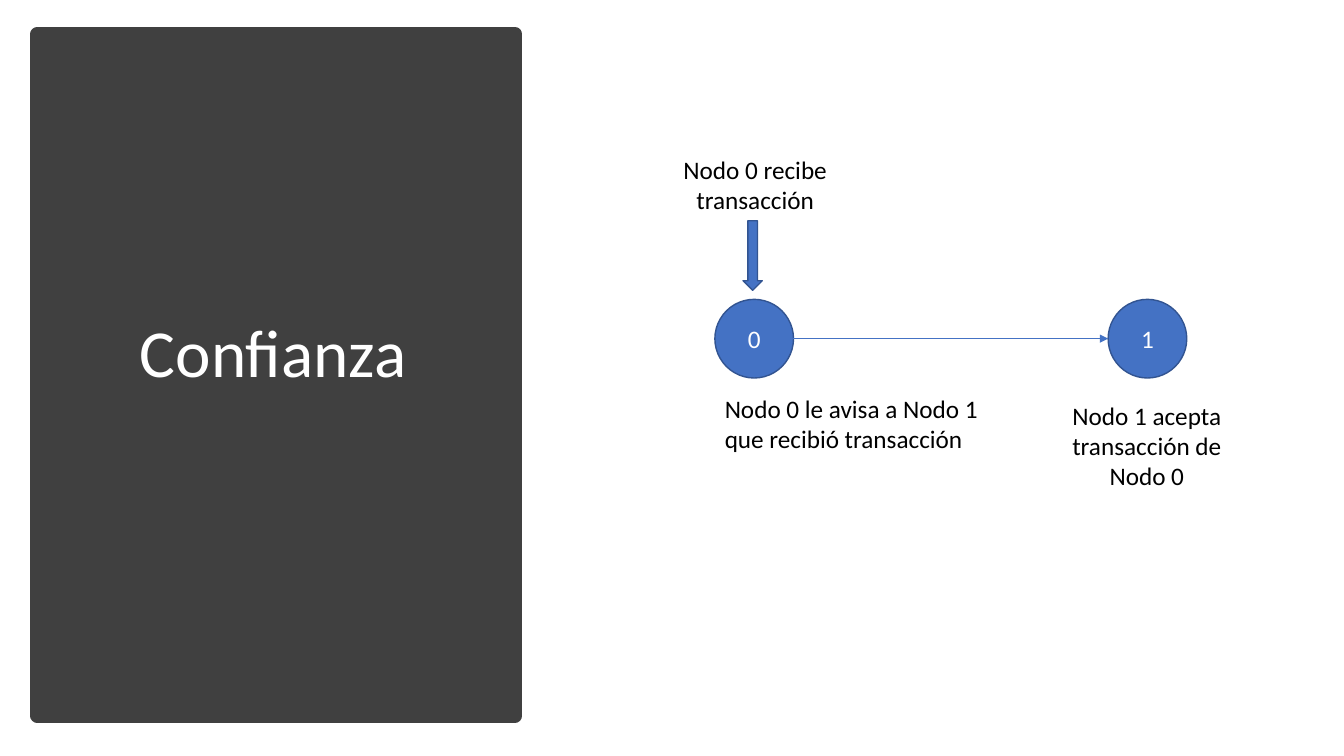
from dataclasses import dataclass

from pptx import Presentation
from pptx.dml.color import RGBColor
from pptx.enum.shapes import MSO_CONNECTOR, MSO_SHAPE
from pptx.enum.text import MSO_ANCHOR, MSO_AUTO_SIZE, PP_ALIGN
from pptx.oxml.ns import qn
from pptx.util import Inches, Pt
from lxml.etree import SubElement


@dataclass(frozen=True)
class Theme:
    font: str = "Calibri"
    title_size: int = 48
    body_size: int = 18
    panel: str = "404040"
    accent: str = "4472C4"
    outline: str = "325491"
    light: str = "FFFFFF"
    dark: str = "000000"


def rgb(value):
    return RGBColor.from_string(value)


def write(tf, text, *, font, size, color, align=PP_ALIGN.CENTER,
          anchor=MSO_ANCHOR.TOP, spacing=None):
    tf.word_wrap = True
    tf.vertical_anchor = anchor
    p = tf.paragraphs[0]
    p.alignment = align
    if spacing:
        p.line_spacing = spacing
    r = p.add_run()
    r.text = text
    r.font.name = font
    r.font.size = Pt(size)
    r.font.color.rgb = rgb(color)


class SlideBuilder:
    """Draws on one slide; every position and size is a percentage of the slide."""

    def __init__(self, prs, theme):
        self.prs, self.theme = prs, theme
        self.s = prs.slides.add_slide(prs.slide_layouts[6])

    def scale(self, *shares):
        """Turn alternating horizontal and vertical percentages into lengths."""
        sides = (self.prs.slide_width, self.prs.slide_height)
        return [round(sides[i % 2] * share / 100) for i, share in enumerate(shares)]

    def shape(self, kind, box, fill, line, line_width=1):
        sp = self.s.shapes.add_shape(kind, *self.scale(*box))
        sp.shadow.inherit = False
        sp.fill.solid()
        sp.fill.fore_color.rgb = rgb(fill)
        sp.line.color.rgb = rgb(line)
        sp.line.width = Pt(line_width)
        return sp

    def panel(self, box):
        self.shape(MSO_SHAPE.RECTANGLE, box, self.theme.panel, self.theme.panel, 10)

    def title(self, text, box):
        sp = self.s.shapes.add_textbox(*self.scale(*box))
        write(sp.text_frame, text, font=self.theme.font, size=self.theme.title_size,
              color=self.theme.light, anchor=MSO_ANCHOR.MIDDLE, spacing=0.9)

    def node(self, text, box):
        sp = self.shape(MSO_SHAPE.OVAL, box, self.theme.accent, self.theme.outline)
        write(sp.text_frame, text, font=self.theme.font, size=self.theme.body_size,
              color=self.theme.light, anchor=MSO_ANCHOR.MIDDLE)
        return sp

    def down_arrow(self, box):
        self.shape(MSO_SHAPE.DOWN_ARROW, box, self.theme.accent, self.theme.outline)

    def caption(self, text, box, align=PP_ALIGN.CENTER):
        sp = self.s.shapes.add_textbox(*self.scale(*box))
        sp.text_frame.auto_size = MSO_AUTO_SIZE.SHAPE_TO_FIT_TEXT
        write(sp.text_frame, text, font=self.theme.font, size=self.theme.body_size,
              color=self.theme.dark, align=align)

    def link(self, start, end):
        """Draw an arrow from the right side of one node to the left side of another."""
        y = start.top + start.height // 2
        line = self.s.shapes.add_connector(
            MSO_CONNECTOR.STRAIGHT, start.left + start.width, y, end.left, y)
        line.line.color.rgb = rgb(self.theme.accent)
        line.line.width = Pt(0.5)
        SubElement(line.line._get_or_add_ln(), qn("a:tailEnd"), type="triangle")
        SubElement(line._element.spPr, qn("a:effectLst"))


def main():
    prs = Presentation()
    prs.slide_width, prs.slide_height = Inches(13.33), Inches(7.5)
    slide = SlideBuilder(prs, Theme())

    slide.panel((2.78, 4.53, 35.56, 90.13))
    slide.title("Confianza", (6.08, 10.8, 28.5, 72.4))

    first_x, node_gap, node_y, node_size = 53.19, 29.26, 39.6, (5.85, 10.4)
    nodes = [slide.node(str(i), (first_x + i * node_gap, node_y, *node_size))
             for i in range(2)]
    slide.link(*nodes)

    slide.caption("Nodo 0 recibe transacción", (48.84, 19.73, 14.7, 9.47))
    slide.down_arrow((55.29, 29.2, 1.43, 9.2))
    slide.caption("Nodo 0 le avisa a Nodo 1 que recibió transacción",
                  (first_x, 51.33, 21.53, 9.47), align=PP_ALIGN.LEFT)
    slide.caption("Nodo 1 acepta transacción de Nodo 0", (78.39, 52.27, 13.88, 13.47))

    prs.save("out.pptx")


if __name__ == "__main__":
    main()
